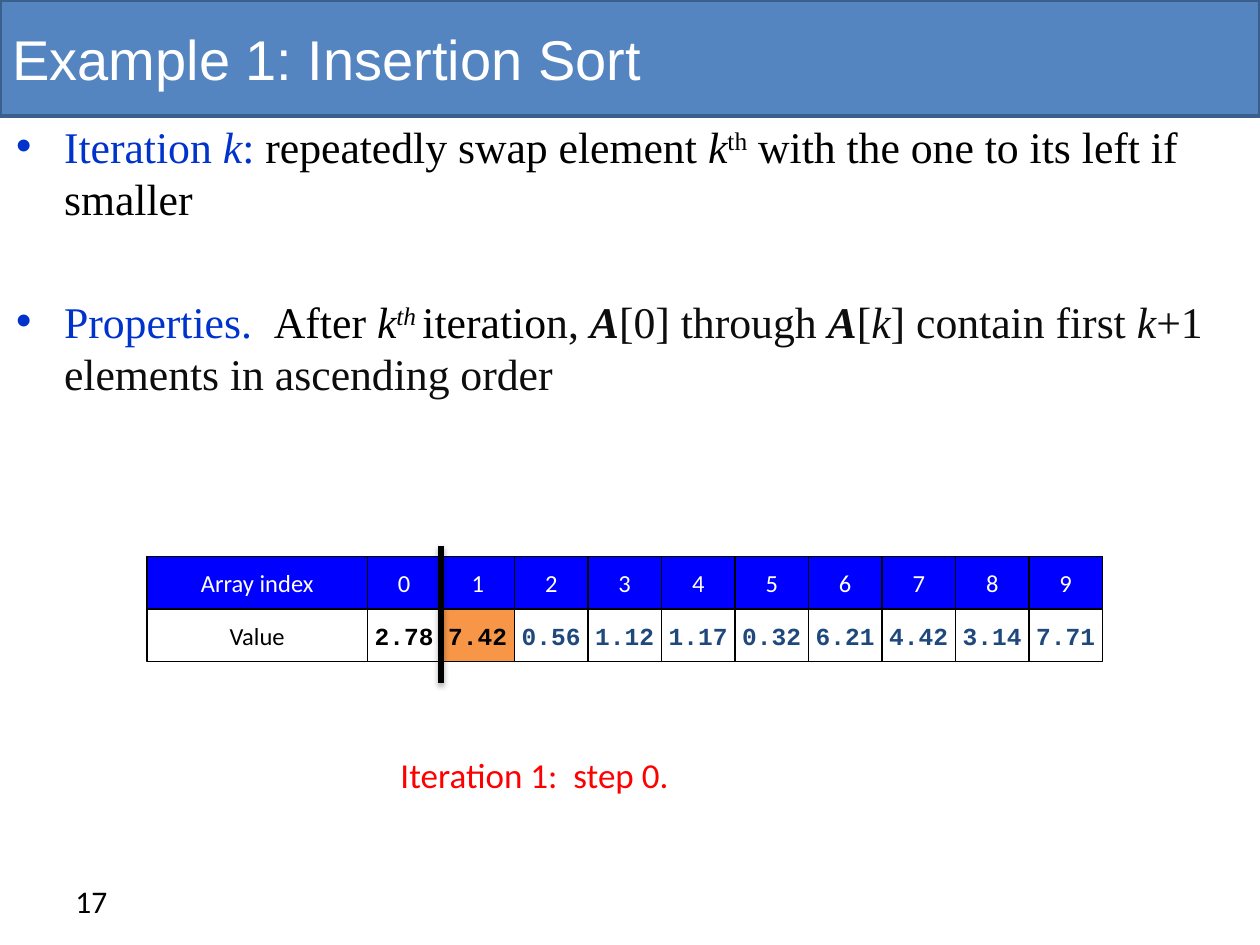
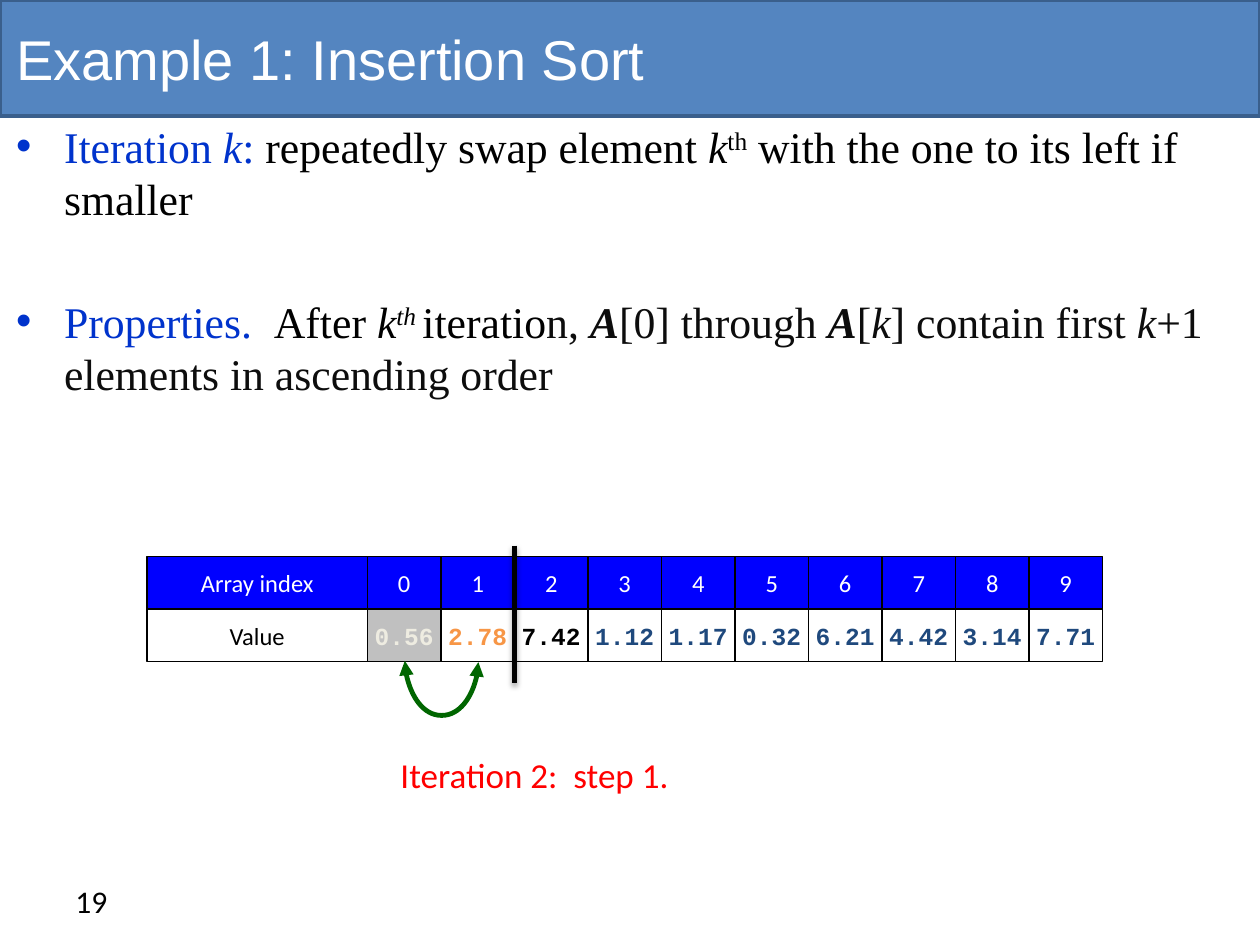
from lxml import etree
from pptx import Presentation
from pptx.dml.color import RGBColor
from pptx.enum import shapes, text
from pptx.oxml import ns
from pptx.util import Inches, Pt

COLOURS = {
    "band": "5485C0", "band_edge": "3A5F8C", "white": "FFFFFF", "black": "000000",
    "header": "0000FF", "pending": "1F497D", "orange": "F79646", "grey": "C0C0C0",
    "pale": "EEECE1", "term": "0033CC", "body": "0D0D0D", "caption": "FF0000",
    "swap": "006600",
}
LABEL_LEFT, LABEL_WIDTH = 14 / 12, 1.75
CELL_WIDTH, CELL_HEIGHT = 7 / 12, 5 / 12
CELLS_LEFT = LABEL_LEFT + LABEL_WIDTH
INDEX_TOP = 53 / 12
VALUE_TOP = INDEX_TOP + CELL_HEIGHT
TABLE_BOTTOM = VALUE_TOP + CELL_HEIGHT

RULES = [
    [("Iteration ", "term", ""), ("k", "term", "i"), (": ", "term", ""),
     ("repeatedly swap element ", "black", ""), ("k", "black", "i"), ("th", "black", "s"),
     (" with the one to its left if smaller", "black", "")],
    [("Properties.  ", "term", ""), ("After ", "black", ""), ("k", "black", "i"),
     ("th ", "black", "is"), ("iteratio", "black", ""), ("n, ", "body", ""),
     ("A", "body", "bi"), ("[0] through ", "body", ""), ("A", "body", "bi"),
     ("[", "body", ""), ("k", "body", "i"), ("] contain first ", "body", ""),
     ("k", "body", "i"), ("+1 elements in ascending order", "body", "")],
]
STEPS = [
    {"number": "17", "title_left": 0, "caption": "Iteration 1:  step 0.",
     "values": "2.78 7.42 0.56 1.12 1.17 0.32 6.21 4.42 3.14 7.71",
     "marked": {0: ("white", "black"), 1: ("orange", "black")},
     "divider": 1, "swap": None},
    {"number": "19", "title_left": 0.03, "caption": "Iteration 2:  step 1.",
     "values": "0.56 2.78 7.42 1.12 1.17 0.32 6.21 4.42 3.14 7.71",
     "marked": {0: ("grey", "pale"), 1: ("white", "orange"), 2: ("white", "black")},
     "divider": 2, "swap": 0},
]


def colour(name):
    """Return the named palette colour."""
    return RGBColor.from_string(COLOURS[name])


def add_xml(parent, tag, **attributes):
    """Append a DrawingML element to a parent and return it."""
    return etree.SubElement(parent, ns.qn(tag), attributes)


def style_span(span, face, size, ink, bold=False):
    """Set the font of one run."""
    span.font.name, span.font.size, span.font.bold = face, Pt(size), bold
    span.font.color.rgb = colour(ink)


def add_rectangle(page, left, top, width, height, fill, edge, weight):
    """Draw a filled and outlined rectangle without a shadow."""
    box = page.shapes.add_shape(shapes.MSO_SHAPE.RECTANGLE, Inches(left), Inches(top),
                                Inches(width), Inches(height))
    box.shadow.inherit = False
    box.fill.solid()
    box.fill.fore_color.rgb = colour(fill)
    box.line.color.rgb = colour(edge)
    box.line.width = Pt(weight)
    return box


def add_text_box(page, left, top, width, height):
    """Add an empty wrapping text box."""
    box = page.shapes.add_textbox(Inches(left), Inches(top), Inches(width), Inches(height))
    box.text_frame.word_wrap = True
    return box


def add_label(page, place, words, face, size, ink, anchor=text.MSO_ANCHOR.TOP):
    """Add one line of text in a single style."""
    frame = add_text_box(page, *place).text_frame
    frame.text = words
    frame.vertical_anchor = anchor
    style_span(frame.paragraphs[0].runs[0], face, size, ink)


def add_title(page, left):
    """Draw the title band and its heading."""
    add_rectangle(page, 0, 0, 10, 0.92, "band", "band_edge", 2)
    add_label(page, (left, 0, 10 - left, 0.92), "Example 1: Insertion Sort",
              "Arial", 32, "white", text.MSO_ANCHOR.MIDDLE)


def add_rules(page):
    """Add the two bulleted rules of the algorithm."""
    frame = add_text_box(page, 0.03, 0.9, 10.08, 2.52).text_frame
    for position, rule in enumerate(RULES):
        para = frame.add_paragraph() if position else frame.paragraphs[0]
        properties = para._p.get_or_add_pPr()
        properties.set("marL", str(Inches(0.38)))
        properties.set("indent", str(-Inches(0.38)))
        add_xml(properties, "a:buFont", typeface="Arial")
        add_xml(properties, "a:buChar", char="•")
        para.line_spacing = Pt(30)
        if position:
            para.space_before = Pt(40)
        for words, ink, style in rule:
            span = para.add_run()
            span.text = words
            style_span(span, "Times New Roman", 25, ink, "b" in style)
            span.font.italic = "i" in style
            if "s" in style:
                span.font._element.set("baseline", "30000")


def add_cell(page, left, top, width, words, fill, ink, face="Calibri"):
    """Draw one cell of the array."""
    box = add_rectangle(page, left, top, width, CELL_HEIGHT, fill, "black", 0.75)
    frame = box.text_frame
    frame.text = words
    frame.word_wrap = False
    frame.vertical_anchor = text.MSO_ANCHOR.MIDDLE
    para = frame.paragraphs[0]
    para.alignment = text.PP_ALIGN.CENTER
    style_span(para.runs[0], face, 14, ink, face == "Courier New")


def add_array(page, values, marked):
    """Draw the index row and the value row."""
    add_cell(page, LABEL_LEFT, INDEX_TOP, LABEL_WIDTH, "Array index", "header", "white")
    add_cell(page, LABEL_LEFT, VALUE_TOP, LABEL_WIDTH, "Value", "white", "black")
    for index, value in enumerate(values.split()):
        left = CELLS_LEFT + index * CELL_WIDTH
        fill, ink = marked.get(index, ("white", "pending"))
        add_cell(page, left, INDEX_TOP, CELL_WIDTH, str(index), "header", "white")
        add_cell(page, left, VALUE_TOP, CELL_WIDTH, value, fill, ink, "Courier New")


def add_line(page, kind, start, end, ink, weight):
    """Add a connector and return it with its empty effect list."""
    line = page.shapes.add_connector(kind, *map(Inches, start + end))
    line.line.color.rgb = colour(ink)
    line.line.width = Pt(weight)
    return line, add_xml(line._element.spPr, "a:effectLst")


def add_divider(page, index):
    """Draw the shadowed bar to the left of a cell."""
    x = CELLS_LEFT + index * CELL_WIDTH
    _, effects = add_line(page, shapes.MSO_CONNECTOR.STRAIGHT, (x, 4.33), (x, 5.42), "black", 3)
    shadow = add_xml(effects, "a:outerShdw", blurRad=str(Pt(3.1)), dist=str(Pt(1.8)),
                     dir="5400000", rotWithShape="0")
    tint = add_xml(shadow, "a:srgbClr", val=COLOURS["black"])
    add_xml(tint, "a:alpha", val="35000")


def add_swap(page, index):
    """Draw the curved double arrow under a cell and its right neighbour."""
    middle, thickness, depth = CELLS_LEFT + (index + 1) * CELL_WIDTH, 0.01, 0.44
    top = TABLE_BOTTOM - CELL_WIDTH / 2
    line, _ = add_line(page, shapes.MSO_CONNECTOR.CURVE, (middle + thickness, top),
                       (middle, top + CELL_WIDTH), "swap", 2.75)
    properties = line._element.spPr
    properties.find(ns.qn("a:xfrm")).set("rot", str(270 * 60000))
    guides = properties.find(ns.qn("a:prstGeom")).find(ns.qn("a:avLst"))
    add_xml(guides, "a:gd", name="adj1", fmla=f"val {round(depth / thickness * 100000)}")
    stroke = properties.find(ns.qn("a:ln"))
    for tag in ("a:headEnd", "a:tailEnd"):
        add_xml(stroke, tag, type="triangle")


def add_step(deck, step):
    """Build the slide of one sorting step."""
    page = deck.slides.add_slide(deck.slide_layouts[6])
    add_title(page, step["title_left"])
    add_label(page, (0.5, 6.95, 2.33, 0.4), step["number"], "Calibri", 18, "black")
    add_label(page, (3.08, 5.93, 4.08, 0.44), step["caption"], "Calibri", 20, "caption")
    add_array(page, step["values"], step["marked"])
    if step["swap"] is not None:
        add_swap(page, step["swap"])
    add_rules(page)
    add_divider(page, step["divider"])


def main():
    """Build and save the deck."""
    deck = Presentation()
    deck.slide_width, deck.slide_height = Inches(10), Inches(7.5)
    for step in STEPS:
        add_step(deck, step)
    deck.save("out.pptx")


if __name__ == "__main__":
    main()
